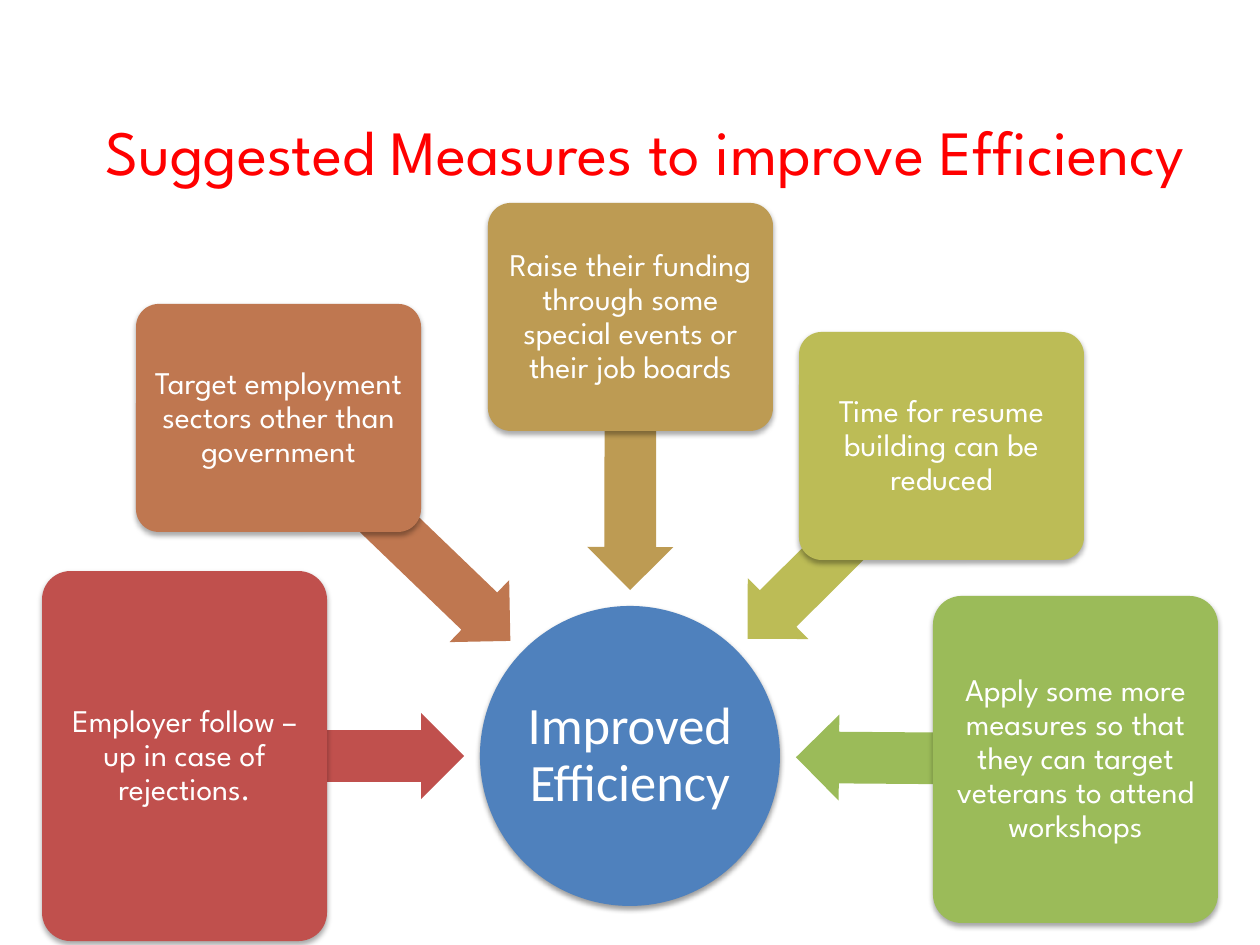
"""Builds a slide of five measures whose arrows converge on improved efficiency."""
from dataclasses import dataclass
from math import atan2, degrees, hypot

from lxml.etree import SubElement
from pptx import Presentation
from pptx.dml.color import RGBColor
from pptx.enum.shapes import MSO_SHAPE
from pptx.enum.text import MSO_ANCHOR, PP_ALIGN
from pptx.oxml.ns import qn
from pptx.util import Pt

EMU_PER_PX = 914400 / 126


@dataclass(frozen=True)
class Theme:
    title: str = "FF0000"
    hub: str = "4F81BD"
    text: str = "FFFFFF"
    shadow: str = "000000"
    font: str = "League Spartan"
    hub_font: str = "Calibri"
    title_size: int = 36
    hub_size: int = 30
    box_size: int = 18


THEME = Theme()
TITLE = "Suggested Measures to improve Efficiency"
HUB = "Improved Efficiency"
MEASURES = [
    ("Employer follow – up in case of rejections.", "C0504D", 42, 571, 370),
    ("Target employment sectors other than government", "BF7750", 136, 304, 228),
    ("Raise their funding through some special events or their job boards", "BD9B53", 488, 203, 228),
    ("Time for resume building can be reduced", "BCBC56", 799, 332, 228),
    ("Apply some more measures so that they can target veterans to attend workshops",
     "9BBB59", 933, 596, 327),
]
BOX_W = 285
HUB_X, HUB_Y, HUB_R = 630, 756, 150
ARROW_GAP, ARROW_H = 16, 86


def px(n):
    return round(n * EMU_PER_PX)


def write(s, text, font, size, color, inset, align=PP_ALIGN.CENTER, spacing=0.9):
    tf = s.text_frame
    tf.word_wrap = True
    tf.vertical_anchor = MSO_ANCHOR.MIDDLE
    tf.margin_left = tf.margin_right = tf.margin_top = tf.margin_bottom = px(inset)
    p = tf.paragraphs[0]
    p.alignment = align
    p.line_spacing = spacing
    r = p.add_run()
    r.text = text
    r.font.name = font
    r.font.size = Pt(size)
    r.font.color.rgb = RGBColor.from_string(color)


def add_shape(sp, kind, x, y, w, h, color):
    s = sp.add_shape(kind, px(x), px(y), px(w), px(h))
    s.shadow.inherit = False
    s.fill.solid()
    s.fill.fore_color.rgb = RGBColor.from_string(color)
    s.line.fill.background()
    return s


def drop_shadow(s, alpha, distance):
    effects = s._element.spPr.find(qn("a:effectLst"))
    outer = SubElement(effects, qn("a:outerShdw"), blurRad=str(Pt(3.1)),
                       dist=str(Pt(distance)), dir="5400000", rotWithShape="0")
    color = SubElement(outer, qn("a:srgbClr"), val=THEME.shadow)
    SubElement(color, qn("a:alpha"), val=str(alpha * 1000))


def add_arrow(sp, x, y, color):
    dx, dy = HUB_X - x, HUB_Y - y
    distance = hypot(dx, dy)
    length = distance - HUB_R - ARROW_GAP
    half = length / 2 / distance
    s = add_shape(sp, MSO_SHAPE.LEFT_ARROW, x + dx * half - length / 2,
                  y + dy * half - ARROW_H / 2, length, ARROW_H, color)
    s.adjustments[0], s.adjustments[1] = 0.6, 0.5
    s.rotation = (degrees(atan2(dy, dx)) + 180) % 360


def add_measure(sp, text, color, x, y, h):
    add_arrow(sp, x + BOX_W / 2, y + h / 2, color)
    s = add_shape(sp, MSO_SHAPE.ROUNDED_RECTANGLE, x, y, BOX_W, h, color)
    s.adjustments[0] = 0.1
    drop_shadow(s, 35, 1.8)
    write(s, text, THEME.font, THEME.box_size, THEME.text, 5)


def main():
    prs = Presentation()
    prs.slide_width, prs.slide_height = px(1260), px(945)
    sp = prs.slides.add_slide(prs.slide_layouts[6]).shapes
    title = sp.add_textbox(px(63), px(105), px(1134), px(91))
    write(title, TITLE, THEME.font, THEME.title_size, THEME.title, 12, PP_ALIGN.RIGHT, 1.0)
    hub = add_shape(sp, MSO_SHAPE.OVAL, HUB_X - HUB_R, HUB_Y - HUB_R,
                    2 * HUB_R, 2 * HUB_R, THEME.hub)
    drop_shadow(hub, 38, 1.6)
    write(hub, HUB, THEME.hub_font, THEME.hub_size, THEME.text, 3)
    for measure in MEASURES:
        add_measure(sp, *measure)
    prs.save("out.pptx")


if __name__ == "__main__":
    main()
